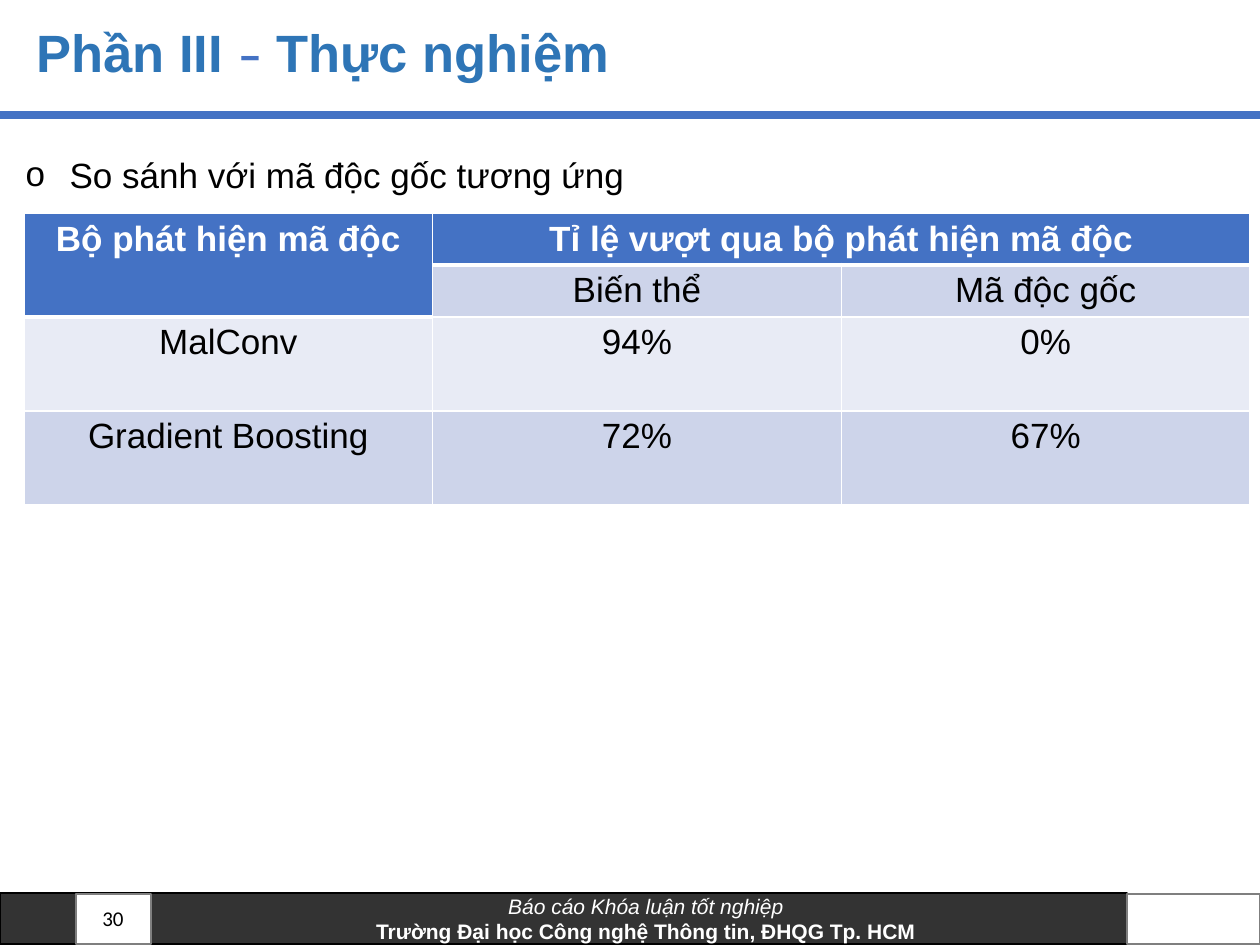
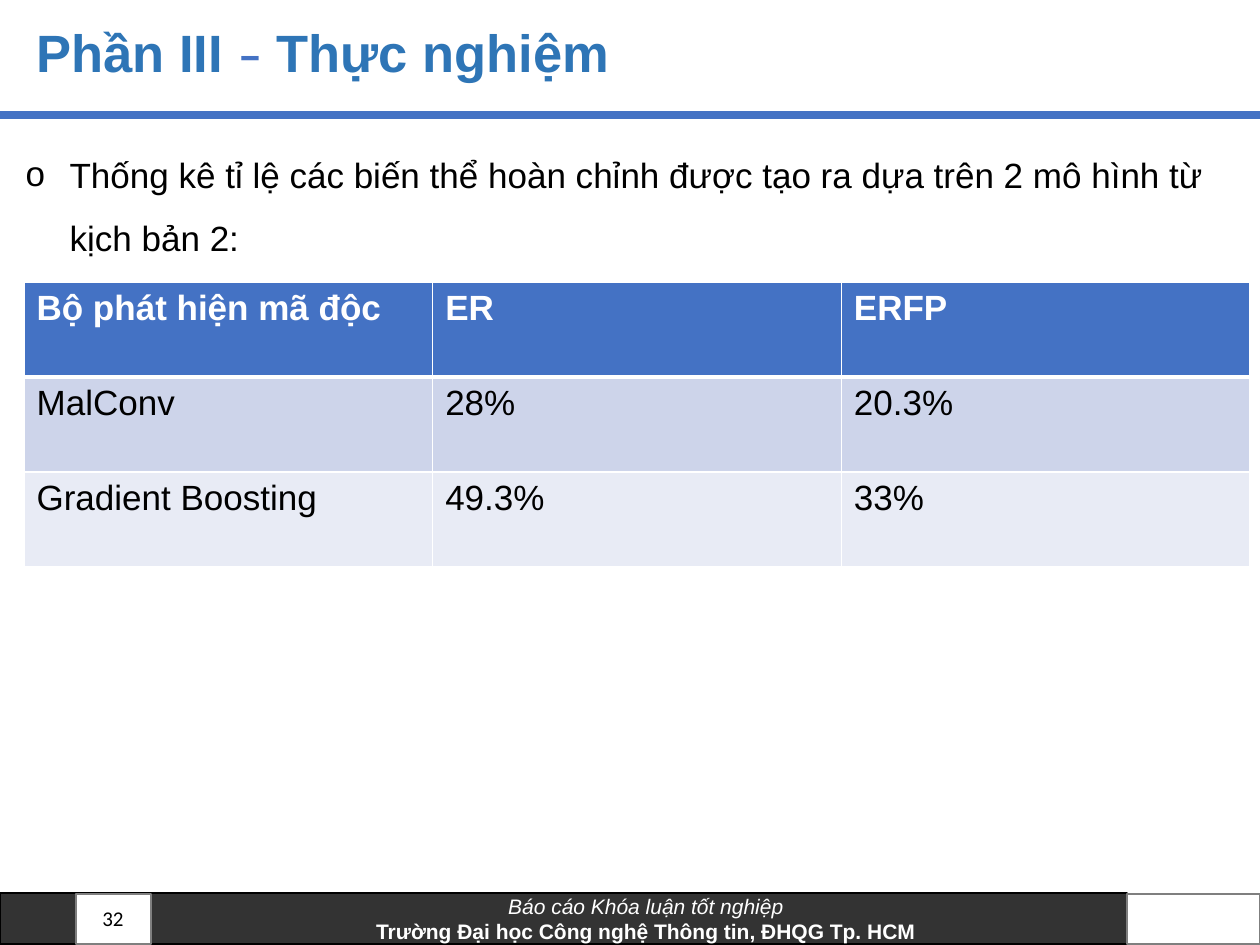
from lxml.etree import SubElement
from pptx import Presentation
from pptx.dml.color import RGBColor
from pptx.enum.shapes import MSO_CONNECTOR as Connector, MSO_SHAPE as Shape
from pptx.enum.text import MSO_ANCHOR as Anchor, MSO_AUTO_SIZE as AutoSize, PP_ALIGN as Align
from pptx.oxml.ns import qn
from pptx.util import Pt

BLUE, WHITE, BLACK, GREY = "4472C4", "FFFFFF", "000000", "7F7F7F"
BANDS = ("E8EBF5", "CDD4EA")
PAGE_W, PAGE_H = 1260, 945
TABLE_LEFT, TABLE_W = 24, 1226

HEADING = {"size": 30, "name": "Arial", "color": "2E75B6", "bold": True}
DASH = {"size": 28, "name": "Calibri", "color": BLUE, "bold": True}
BODY = {"size": 20, "name": "Arial", "color": BLACK, "bold": False}
TABLE_HEAD = BODY | {"color": WHITE, "bold": True}
FOOTER = {"size": 12, "name": "Arial", "color": WHITE}
NUMBER = {"size": 12, "name": "Calibri", "color": BLACK}

TITLE = [("Phần III ", HEADING), ("–", DASH), (" Thực nghiệm", HEADING)]
FOOTER_LINES = [
    ("Báo cáo Khóa luận tốt nghiệp", FOOTER | {"italic": True}),
    ("Trường Đại học Công nghệ Thông tin, ĐHQG Tp. HCM", FOOTER | {"bold": True}),
]

# In a table, None marks a cell covered by a merge.
PAGES = [
    {
        "number": "30",
        "point": "So sánh với mã độc gốc tương ứng",
        "table": [
            ("Bộ phát hiện mã độc", "Tỉ lệ vượt qua bộ phát hiện mã độc", None),
            (None, "Biến thể", "Mã độc gốc"),
            ("MalConv", "94%", "0%"),
            ("Gradient Boosting", "72%", "67%"),
        ],
        "merges": [((0, 0), (1, 0)), ((0, 1), (0, 2))],
        "top": 213,
        "rows": (52, 52, 94, 94),
        "align": Align.CENTER,
    },
    {
        "number": "32",
        "point": "Thống kê tỉ lệ các biến thể hoàn chỉnh được tạo ra dựa trên 2 mô hình từ kịch bản 2:",
        "table": [
            ("Bộ phát hiện mã độc", "ER", "ERFP"),
            ("MalConv", "28%", "20.3%"),
            ("Gradient Boosting", "49.3%", "33%"),
        ],
        "merges": [],
        "top": 282,
        "rows": (95, 95, 95),
        "align": Align.LEFT,
    },
]


def px(length):
    return round(length * 914400 / 126)


def rgb(code):
    return RGBColor.from_string(code)


def add_span(para, text, style):
    span = para.add_run()
    span.text = text
    for name, value in style.items():
        if name == "color":
            span.font.color.rgb = rgb(value)
        else:
            setattr(span.font, name, Pt(value) if name == "size" else value)


def place(box, left, top, width, height):
    box.left, box.top, box.width, box.height = map(px, (left, top, width, height))


def set_frame(box, anchor):
    frame = box.text_frame
    settings = {"word_wrap": True, "auto_size": AutoSize.NONE, "vertical_anchor": anchor}
    for name, value in settings.items():
        setattr(frame, name, value)
    return frame


def add_box(page, left, top, width, height, fill, line):
    box = page.shapes.add_shape(Shape.RECTANGLE, *map(px, (left, top, width, height)))
    box.shadow.inherit = False
    box.fill.solid()
    box.fill.fore_color.rgb = rgb(fill)
    box.line.color.rgb = rgb(line)
    box.line.width = Pt(1)
    return box


def add_bands(page, number):
    """Draw the rule under the title and the footer with its page number."""
    rule = page.shapes.add_connector(Connector.STRAIGHT, 0, px(115), px(PAGE_W), px(115))
    rule.line.color.rgb = rgb(BLUE)
    rule.line.width = Pt(4.5)
    SubElement(rule._element.spPr, qn("a:effectLst"))

    bar = add_box(page, 0, 893, 1127, 51, BLACK, BLACK)
    bar_color = bar._element.spPr.find(qn("a:solidFill"))[0]
    SubElement(bar_color, qn("a:alpha"), val="80000")
    frame = set_frame(bar, Anchor.MIDDLE)
    frame.margin_left = frame.margin_right = px(19)
    frame.margin_top = frame.margin_bottom = px(9)
    for index, (text, style) in enumerate(FOOTER_LINES):
        para = frame.add_paragraph() if index else frame.paragraphs[0]
        para.alignment = Align.CENTER
        para._p.get_or_add_pPr().set("marL", str(px(165)))
        add_span(para, text, style)

    for left, width in ((76, 75), (1127, 133)):
        add_box(page, left, 894, width, 50, WHITE, GREY)
    label = page.shapes.add_textbox(*map(px, (81, 893, 55, 51)))
    para = set_frame(label, Anchor.MIDDLE).paragraphs[0]
    para.alignment = Align.RIGHT
    add_span(para, number, NUMBER)


def fill_title(page):
    title = page.shapes.title
    place(title, 24, 20, 1131, 71)
    para = set_frame(title, Anchor.MIDDLE).paragraphs[0]
    para.alignment = Align.LEFT
    para.line_spacing = 0.9
    for text, style in TITLE:
        add_span(para, text, style)


def fill_body(page, text):
    body = page.placeholders[1]
    place(body, 10, 126, 1240, 693)
    para = set_frame(body, Anchor.TOP).paragraphs[0]
    props = para._p.get_or_add_pPr()
    props.set("marL", str(px(47)))
    props.set("indent", str(px(-44)))
    SubElement(SubElement(props, qn("a:buClr")), qn("a:srgbClr"), val=BLACK)
    SubElement(props, qn("a:buFont"), typeface="Arial")
    SubElement(props, qn("a:buChar"), char="o")
    para.line_spacing = 1.5
    para.space_before = Pt(0)
    add_span(para, text, BODY)


def add_borders(cell, widths):
    """Give the cell white borders; widths maps a side (L, R, T, B) to points."""
    props = cell._tc.get_or_add_tcPr()
    for index, (side, width) in enumerate(widths.items()):
        line = SubElement(props, qn(f"a:ln{side}"), w=str(Pt(width)))
        SubElement(SubElement(line, qn("a:solidFill")), qn("a:srgbClr"), val=WHITE)
        props.insert(index, line)


def add_grid(page, content):
    rows = content["table"]
    columns = len(rows[0])
    grid = page.shapes.add_table(
        len(rows), columns, px(TABLE_LEFT), px(content["top"]),
        px(TABLE_W), px(sum(content["rows"])),
    ).table
    for column in grid.columns:
        column.width = px(TABLE_W / columns)
    for row, height in zip(grid.rows, content["rows"]):
        row.height = px(height)
    for start, end in content["merges"]:
        grid.cell(*start).merge(grid.cell(*end))

    for r, row in enumerate(rows):
        for c, text in enumerate(row):
            cell = grid.cell(r, c)
            is_head = r == 0 or text is None
            cell.fill.solid()
            cell.fill.fore_color.rgb = rgb(BLUE if is_head else BANDS[r % 2])
            top = {"T": 1} if r == 0 else {}
            add_borders(cell, {"L": 1, "R": 1} | top | {"B": 3 if is_head else 1})
            if text is not None:
                para = cell.text_frame.paragraphs[0]
                para.alignment = content["align"]
                add_span(para, text, TABLE_HEAD if is_head else BODY)


def main():
    deck = Presentation()
    deck.slide_width, deck.slide_height = px(PAGE_W), px(PAGE_H)
    for content in PAGES:
        page = deck.slides.add_slide(deck.slide_layouts[1])
        add_bands(page, content["number"])
        fill_title(page)
        fill_body(page, content["point"])
        add_grid(page, content)
    deck.save("out.pptx")


if __name__ == "__main__":
    main()
